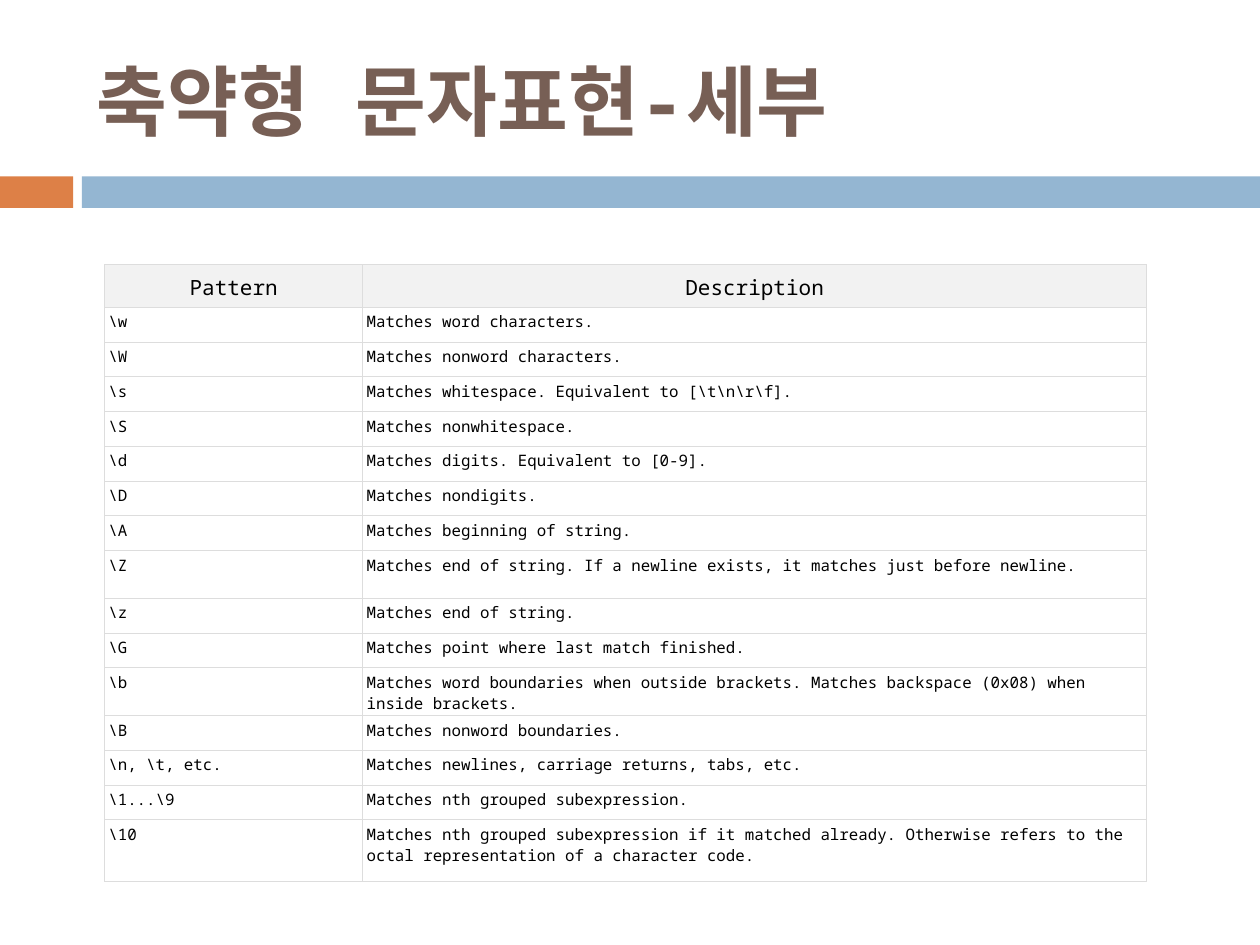
from pptx import Presentation
from pptx.dml.color import RGBColor
from pptx.enum.shapes import MSO_SHAPE
from pptx.enum.text import MSO_ANCHOR, PP_ALIGN
from pptx.oxml import parse_xml
from pptx.oxml.ns import nsdecls
from pptx.util import Inches, Pt

RECT = MSO_SHAPE.RECTANGLE
MIDDLE = MSO_ANCHOR.MIDDLE
CENTER, LEFT = PP_ALIGN.CENTER, PP_ALIGN.LEFT

FONT = "Noto Sans Mono"
COLORS = {
    "title": "775F55", "accent": "DD8047", "bar": "94B6D2", "text": "000000",
    "header": "F2F2F2", "body": "FFFFFF", "border": "DDDDDD",
}
TITLE = "축약형 문자표현-세부"
BARS = [(0, 0.58, "accent"), (0.65, 9.35, "bar")]  # left, width, colour
ROWS = [
    ("Pattern", "Description"),
    (r"\w", "Matches word characters."),
    (r"\W", "Matches nonword characters."),
    (r"\s", r"Matches whitespace. Equivalent to [\t\n\r\f]."),
    (r"\S", "Matches nonwhitespace."),
    (r"\d", "Matches digits. Equivalent to [0-9]."),
    (r"\D", "Matches nondigits."),
    (r"\A", "Matches beginning of string."),
    (r"\Z", "Matches end of string. If a newline exists, it matches just before newline."),
    (r"\z", "Matches end of string."),
    (r"\G", "Matches point where last match finished."),
    (r"\b", "Matches word boundaries when outside brackets. "
            "Matches backspace (0x08) when inside brackets."),
    (r"\B", "Matches nonword boundaries."),
    (r"\n, \t, etc.", "Matches newlines, carriage returns, tabs, etc."),
    (r"\1...\9", "Matches nth grouped subexpression."),
    (r"\10", "Matches nth grouped subexpression if it matched already. "
             "Otherwise refers to the octal representation of a character code."),
]
COL_WIDTHS = [2.05, 6.22]
TABLE_HEIGHT = 4.87
SPECIAL_HEIGHTS = {0: 0.31, 8: 0.38, 11: 0.38, 15: 0.49}  # other rows share the rest


def rgb(name):
    return RGBColor.from_string(COLORS[name])


def style(p, size, color, align=LEFT, bold=False):
    p.alignment = align
    p.font.name, p.font.size, p.font.bold = FONT, Pt(size), bold
    p.font.color.rgb = rgb(color)
    for r in p.runs:
        r.font._element.append(parse_xml(f'<a:ea {nsdecls("a")} typeface="{FONT}"/>'))


def add_borders(cell):
    tc_pr = cell._tc.get_or_add_tcPr()
    for i, side in enumerate(("lnL", "lnR", "lnT", "lnB")):
        tc_pr.insert(i, parse_xml(
            f'<a:{side} {nsdecls("a")} w="{Pt(0.6)}"><a:solidFill>'
            f'<a:srgbClr val="{COLORS["border"]}"/></a:solidFill></a:{side}>'))


def add_cell(cell, text, header):
    cell.text = text
    inset = Inches(0.07 if header else 0.03)
    cell.margin_left = cell.margin_right = inset
    cell.margin_top = cell.margin_bottom = inset
    cell.fill.solid()
    cell.fill.fore_color.rgb = rgb("header" if header else "body")
    add_borders(cell)
    style(cell.text_frame.paragraphs[0], 12 if header else 9, "text",
          CENTER if header else LEFT)


def main():
    prs = Presentation()
    prs.slide_width, prs.slide_height = Inches(10), Inches(7.5)
    s = prs.slides.add_slide(prs.slide_layouts[6])

    for left, width, color in BARS:
        sp = s.shapes.add_shape(RECT, Inches(left), Inches(1.4), Inches(width), Inches(0.25))
        sp.shadow.inherit = False
        sp.fill.solid()
        sp.fill.fore_color.rgb = rgb(color)
        sp.line.fill.background()

    tf = s.shapes.add_textbox(Inches(0.67), Inches(0.25), Inches(8.92), Inches(1.08)).text_frame
    tf.word_wrap = True
    tf.vertical_anchor = MIDDLE
    tf.text = TITLE
    style(tf.paragraphs[0], 44, "title", bold=True)

    table = s.shapes.add_table(len(ROWS), len(COL_WIDTHS), Inches(0.83), Inches(2.1),
                               Inches(sum(COL_WIDTHS)), Inches(TABLE_HEIGHT)).table
    for column, width in zip(table.columns, COL_WIDTHS):
        column.width = Inches(width)
    plain_height = ((TABLE_HEIGHT - sum(SPECIAL_HEIGHTS.values()))
                    / (len(ROWS) - len(SPECIAL_HEIGHTS)))
    for i, row in enumerate(ROWS):
        table.rows[i].height = Inches(SPECIAL_HEIGHTS.get(i, plain_height))
        for j, text in enumerate(row):
            add_cell(table.cell(i, j), text, header=i == 0)

    prs.save("out.pptx")


if __name__ == "__main__":
    main()
